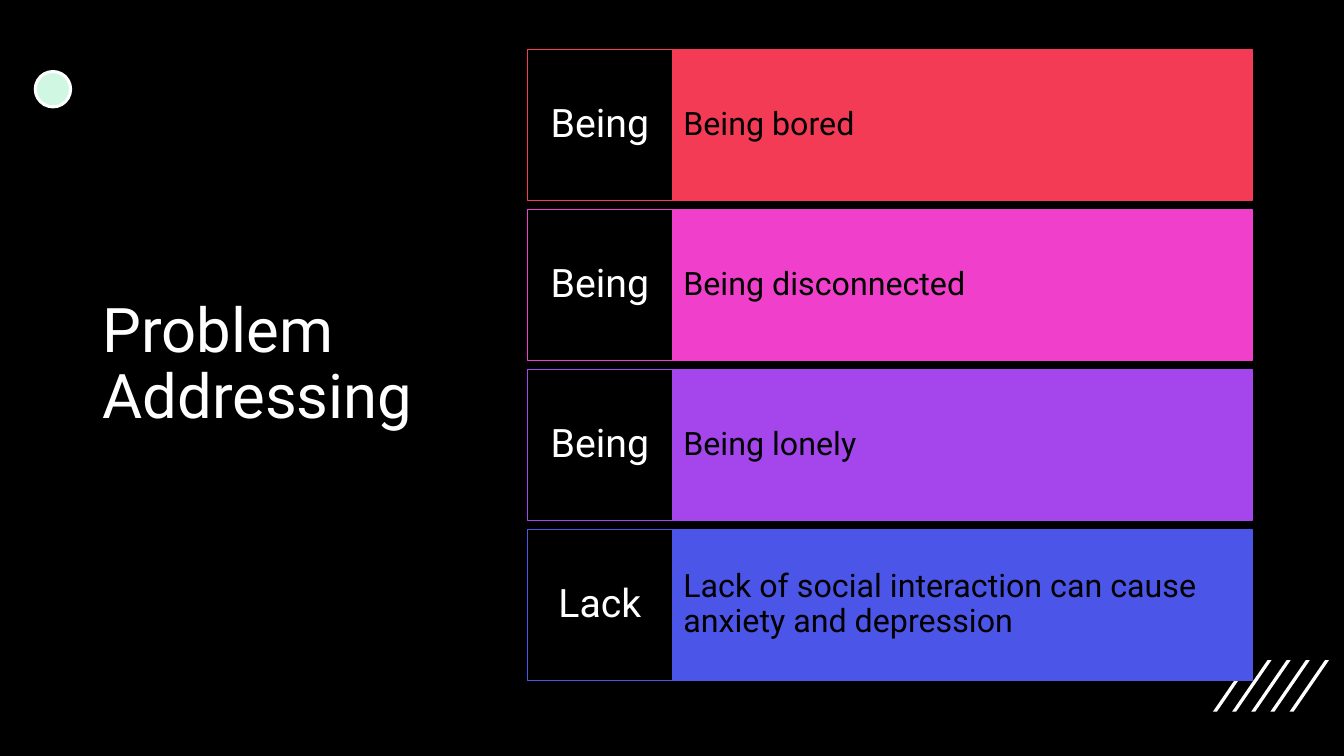
from pptx import Presentation
from pptx.dml.color import RGBColor
from pptx.enum.shapes import MSO_SHAPE
from pptx.enum.text import MSO_ANCHOR, PP_ALIGN
from pptx.util import Inches, Pt

RECTANGLE, OVAL = MSO_SHAPE.RECTANGLE, MSO_SHAPE.OVAL
MIDDLE = MSO_ANCHOR.MIDDLE
LEFT, CENTER = PP_ALIGN.LEFT, PP_ALIGN.CENTER

PAGE_WIDTH, PAGE_HEIGHT = 13.33, 7.5
FONT = "Roboto"
BLACK, WHITE, MINT = "000000", "FFFFFF", "CFF7E1"
PROBLEMS = [
    ("Being", "Being bored", "F43B56"),
    ("Being", "Being disconnected", "F040CB"),
    ("Being", "Being lonely", "A546EC"),
    ("Lack", "Lack of social interaction can cause anxiety and depression", "4B56E8"),
]


def paint(format_part, color):
    """Give a fill one solid colour."""
    format_part.solid()
    format_part.fore_color.rgb = RGBColor.from_string(color)


def add_panel(page, kind, box, fill, line, line_width):
    panel = page.shapes.add_shape(kind, *map(Inches, box))
    panel.shadow.inherit = False
    paint(panel.fill, fill)
    paint(panel.line.fill, line)
    panel.line.width = Pt(line_width)
    return panel


def write(shape, text, size, color, align=LEFT, inset=(0.1, 0.05)):
    """Set one vertically centred paragraph; inset is (sides, top and bottom)."""
    frame = shape.text_frame
    frame.word_wrap = True
    frame.vertical_anchor = MIDDLE
    frame.margin_left = frame.margin_right = Inches(inset[0])
    frame.margin_top = frame.margin_bottom = Inches(inset[1])
    para = frame.paragraphs[0]
    para.alignment = align
    para.line_spacing = 0.9
    span = para.add_run()
    span.text = text
    span.font.name = FONT
    span.font.size = Pt(size)
    paint(span.font.fill, color)


def draw_stripes(page, box, count=5, pitch=0.19, thickness=0.04):
    """Draw slanted bars that together span the box."""
    left, top, width, height = box
    lean = width - (count - 1) * pitch - thickness
    for index in range(count):
        foot = left + index * pitch
        bottom = top + height
        corners = [(foot + thickness, bottom), (foot, bottom),
                   (foot + lean, top), (foot + lean + thickness, top)]
        points = [(Inches(x), Inches(y)) for x, y in corners]
        builder = page.shapes.build_freeform(*points[0])
        builder.add_line_segments(points[1:], close=True)
        stripe = builder.convert_to_shape()
        stripe.shadow.inherit = False
        paint(stripe.fill, WHITE)
        stripe.line.fill.background()


def draw_title(page, box, text):
    write(page.shapes.add_textbox(*map(Inches, box)), text, 44, WHITE)


def draw_problems(page, box, problems, gap=0.09, label_share=0.2):
    """Stack equal rows, each with a dark label and a coloured description."""
    left, top, width, height = box
    row_height = (height - gap * (len(problems) - 1)) / len(problems)
    label_width = width * label_share
    for index, (label, description, color) in enumerate(problems):
        row_top = top + index * (row_height + gap)
        bar = add_panel(page, RECTANGLE,
                        (left + label_width, row_top, width - label_width, row_height),
                        color, color, 1)
        write(bar, description, 23, BLACK, inset=(0.11, 0.38))
        tile = add_panel(page, RECTANGLE, (left, row_top, label_width, row_height),
                         BLACK, color, 1)
        write(tile, label, 28, WHITE, CENTER, inset=(0.08, 0.15))


def main():
    deck = Presentation()
    deck.slide_width, deck.slide_height = Inches(PAGE_WIDTH), Inches(PAGE_HEIGHT)
    page = deck.slides.add_slide(deck.slide_layouts[6])
    paint(page.background.fill, BLACK)
    draw_stripes(page, (12.03, 6.55, 1.15, 0.51))
    add_panel(page, OVAL, (0.35, 0.71, 0.35, 0.35), MINT, WHITE, 2.25)
    draw_title(page, (0.92, 1.31, 3.5, 4.63), "Problem Addressing")
    draw_problems(page, (5.23, 0.49, 7.19, 6.26), PROBLEMS)
    deck.save("out.pptx")


if __name__ == "__main__":
    main()
